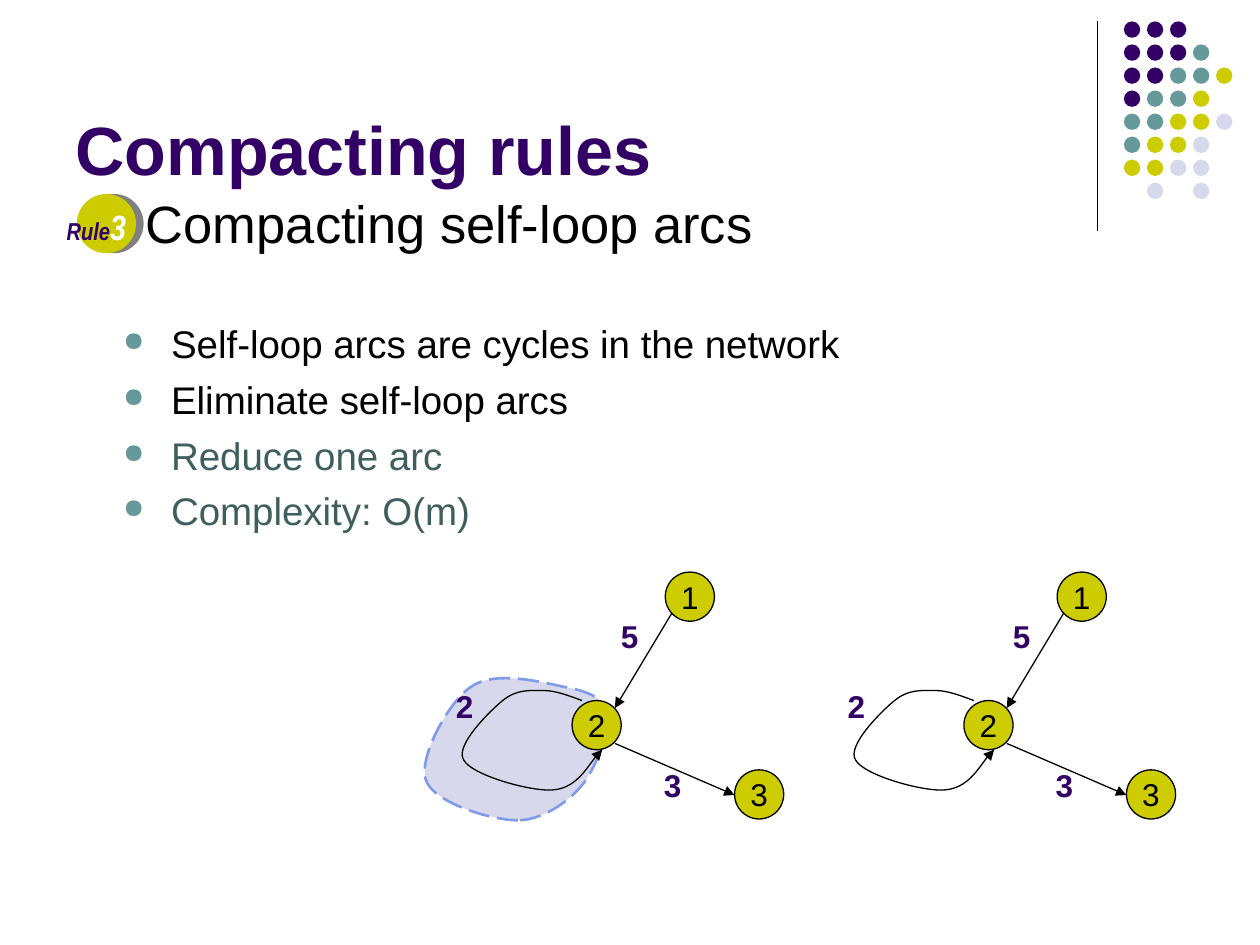
from lxml import etree
from pptx import Presentation
from pptx.dml.color import RGBColor
from pptx.enum import dml, shapes, text
from pptx.oxml.ns import qn
from pptx.util import Inches, Pt

PURPLE, TEAL, LIME, LILAC = "330066", "669999", "CCCC00", "D8D8EC"
BLACK, WHITE, GREY, DARK_TEAL, BLUE = "000000", "FFFFFF", "808080", "3F5F5E", "7E9CE8"

TITLE = "Compacting rules"
HEADING = "Compacting self-loop arcs"
BULLETS = [
    ("Self-loop arcs are cycles in the network", BLACK),
    ("Eliminate self-loop arcs", BLACK),
    ("Reduce one arc", DARK_TEAL),
    ("Complexity: O(m)", DARK_TEAL),
]

DOT_ROWS = ["PPP", "PPPT", "PPTTL", "PTTL", "TTLLV", "TLLV", "LLVV", " V V"]
DOT_COLORS = {"P": PURPLE, "T": TEAL, "L": LIME, "V": LILAC}
DOT_LEFT, DOT_TOP, DOT_SIZE, DOT_PITCH = 8.92, 0.17, 0.13, 1.28 / 7

GRAPH_SHIFTS = [0, 3.11]
NODE_SIZE = 0.39
NODES = [("1", 5.28, 4.54), ("3", 5.83, 6.11), ("2", 4.54, 5.56)]
WEIGHTS = [("2", 3.52, 5.4), ("5", 4.83, 4.85), ("3", 5.17, 6.03)]
ARCS = [((5.33, 4.87), (4.88, 5.62)), ((4.88, 5.9), (5.83, 6.31))]

# Cubic curves: a start point, then two controls and an end point per segment
SELF_LOOP = [
    (4.62, 5.56),
    (4.51, 5.52), (4.41, 5.48), (4.31, 5.48),
    (4.2, 5.48), (4.1, 5.47), (3.99, 5.56),
    (3.88, 5.65), (3.61, 5.92), (3.68, 6.03),
    (3.74, 6.15), (4.2, 6.28), (4.38, 6.27),
    (4.57, 6.26), (4.71, 6.01), (4.78, 5.95),
]
HIGHLIGHT = [
    (4.11, 6.51),
    (3.9, 6.51), (3.44, 6.37), (3.38, 6.19),
    (3.32, 6.01), (3.56, 5.57), (3.74, 5.45),
    (3.92, 5.32), (4.29, 5.41), (4.47, 5.45),
    (4.65, 5.48), (4.8, 5.54), (4.83, 5.66),
    (4.86, 5.78), (4.74, 6.05), (4.65, 6.19),
    (4.56, 6.33), (4.32, 6.51), (4.11, 6.51),
]

prs = Presentation()
prs.slide_width, prs.slide_height = Inches(10), Inches(7.5)
s = prs.slides.add_slide(prs.slide_layouts[6])


def rgb(color):
    return RGBColor.from_string(color)


def add_run(p, content, size, color, name="Arial", **style):
    r = p.add_run()
    r.text = content
    r.font.color.rgb = rgb(color)
    for key, value in {"size": Pt(size), "name": name, **style}.items():
        setattr(r.font, key, value)


def paint(sp, fill=None, line=None, width=0.75):
    sp.shadow.inherit = False
    if fill:
        sp.fill.solid()
        sp.fill.fore_color.rgb = rgb(fill)
    else:
        sp.fill.background()
    if line:
        sp.line.color.rgb = rgb(line)
        sp.line.width = Pt(width)
    else:
        sp.line.fill.background()


def add_circle(x, y, size, fill, line=None):
    sp = s.shapes.add_shape(shapes.MSO_SHAPE.OVAL, *map(Inches, (x, y, size, size)))
    paint(sp, fill, line)
    return sp


def add_box(x, y, w, h, **settings):
    tf = s.shapes.add_textbox(*map(Inches, (x, y, w, h))).text_frame
    for key, value in {"word_wrap": True, **settings}.items():
        setattr(tf, key, value)
    return tf


def add_label(x, y, w, h):
    tf = add_box(x, y, w, h, word_wrap=False,
                 auto_size=text.MSO_AUTO_SIZE.SHAPE_TO_FIT_TEXT)
    return tf.paragraphs[0]


def add_line(start, end):
    c = s.shapes.add_connector(shapes.MSO_CONNECTOR.STRAIGHT, *map(Inches, start + end))
    c.line.color.rgb = rgb(BLACK)
    c.line.width = Pt(0.75)
    etree.SubElement(c._element.spPr, qn("a:effectLst"))
    return c


def add_arrowhead(sp):
    etree.SubElement(sp.line._get_or_add_ln(), qn("a:tailEnd"), type="triangle")


def add_curve(points, close):
    """Build a freeform through the points, then make each three lines one cubic."""
    start, *rest = [tuple(map(Inches, pt)) for pt in points]
    builder = s.shapes.build_freeform(*start)
    builder.add_line_segments(rest, close=close)
    sp = builder.convert_to_shape()
    lines = list(sp._element.iter(qn("a:lnTo")))
    for i in range(0, len(rest), 3):
        cubic = etree.Element(qn("a:cubicBezTo"))
        lines[i].addprevious(cubic)
        for line in lines[i:i + 3]:
            cubic.append(line[0])
            line.getparent().remove(line)
    return sp


def indent(p, left, hanging=0):
    pPr = p._p.get_or_add_pPr()
    pPr.set("marL", str(Inches(left)))
    pPr.set("indent", str(-Inches(hanging)))
    return pPr


def add_bullet(pPr):
    color = etree.SubElement(pPr, qn("a:buClr"))
    etree.SubElement(color, qn("a:srgbClr"), val=TEAL)
    etree.SubElement(pPr, qn("a:buSzPct"), val="70000")
    etree.SubElement(pPr, qn("a:buFont"), typeface="OpenSymbol")
    etree.SubElement(pPr, qn("a:buChar"), char="●")


# Corner ornament
add_line((8.71, 0.17), (8.71, 1.83))
for row, marks in enumerate(DOT_ROWS):
    for col, mark in enumerate(marks):
        if mark in DOT_COLORS:
            add_circle(DOT_LEFT + col * DOT_PITCH, DOT_TOP + row * DOT_PITCH,
                       DOT_SIZE, DOT_COLORS[mark])

# Highlight behind the first self-loop
highlight = add_curve(HIGHLIGHT, close=True)
paint(highlight, LILAC, BLUE, 1.5)
highlight.line.dash_style = dml.MSO_LINE.LONG_DASH

# Title and body
tf = add_box(0.5, 0.13, 8.25, 1.42, vertical_anchor=text.MSO_ANCHOR.BOTTOM)
add_run(tf.paragraphs[0], TITLE, 39, PURPLE, bold=True)

tf = add_box(0.5, 1.47, 8.36, 3.78)
indent(tf.paragraphs[0], 0.56)
add_run(tf.paragraphs[0], HEADING, 30, BLACK)
for i, (content, color) in enumerate(BULLETS):
    p = tf.add_paragraph()
    p.space_before = Pt(5.5 if i else 37.5)
    add_bullet(indent(p, 0.76, 0.38))
    add_run(p, content, 22, color)

# Rule badge
for x, color in ((0.67, GREY), (0.61, LIME)):
    add_circle(x, 1.54, 0.47, color)
p = add_label(0.43, 1.58, 0.67, 0.44)
for content, size, color in (("Rule", 14, PURPLE), ("3", 20, WHITE)):
    add_run(p, content, size, color, "Arial Narrow", bold=True, italic=True)

# Networks
for dx in GRAPH_SHIFTS:
    for weight, x, y in WEIGHTS:
        add_run(add_label(x + dx, y, 0.34, 0.4), weight, 18, PURPLE, bold=True)
    for name, x, y in NODES:
        tf = add_circle(x + dx, y, NODE_SIZE, LIME, BLACK).text_frame
        tf.word_wrap = False
        tf.vertical_anchor = text.MSO_ANCHOR.MIDDLE
        tf.paragraphs[0].alignment = text.PP_ALIGN.CENTER
        add_run(tf.paragraphs[0], name, 18, BLACK)
    for (x1, y1), (x2, y2) in ARCS:
        add_arrowhead(add_line((x1 + dx, y1), (x2 + dx, y2)))
    loop = add_curve([(x + dx, y) for x, y in SELF_LOOP], close=False)
    paint(loop, line=BLACK)
    add_arrowhead(loop)

prs.save("out.pptx")
